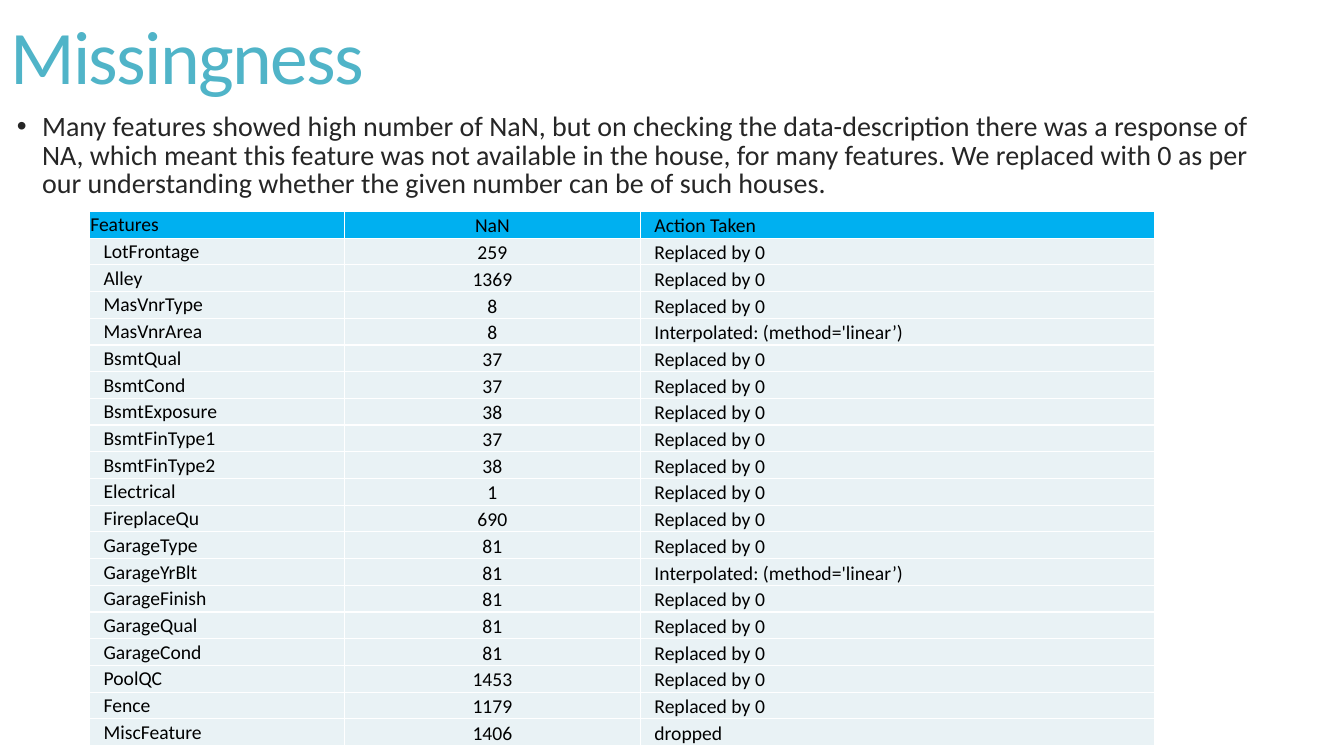
from dataclasses import dataclass

from lxml import etree
from pptx import Presentation
from pptx.dml.color import RGBColor
from pptx.enum.text import MSO_ANCHOR, MSO_AUTO_SIZE, PP_ALIGN
from pptx.oxml.ns import qn
from pptx.util import Pt

LEFT, CENTER = PP_ALIGN.LEFT, PP_ALIGN.CENTER
TOP, MIDDLE, BOTTOM = MSO_ANCHOR.TOP, MSO_ANCHOR.MIDDLE, MSO_ANCHOR.BOTTOM
NO_FIT = MSO_AUTO_SIZE.NONE


@dataclass(frozen=True)
class Theme:
    """Colours, font and type sizes."""
    font: str = "Calibri"
    title: str = "50B4C8"
    body: str = "262626"
    ink: str = "000000"
    head: str = "00B0F0"
    row: str = "E9F2F5"
    rule: str = "FFFFFF"
    title_size: int = 54
    body_size: int = 20
    cell_size: int = 14


def write(frame, words, *, font, size, color, align=LEFT, anchor=TOP,
          line=None, before=None, track=None, indent=0, hang=0, bullet=None):
    """Put one formatted paragraph into a text frame."""
    frame.word_wrap = True
    frame.vertical_anchor = anchor
    para = frame.paragraphs[0]
    para.alignment = align
    if line:
        para.line_spacing = line
    if before is not None:
        para.space_before = Pt(before)
    props = para._p.get_or_add_pPr()
    props.set("marL", str(Pt(indent)))
    props.set("indent", str(Pt(hang)))
    if bullet:
        etree.SubElement(props, qn("a:buFont"), typeface="Arial")
        etree.SubElement(props, qn("a:buChar"), char=bullet)
    run = para.add_run()
    run.text = words
    run.font.name = font
    run.font.size = Pt(size)
    run.font.color.rgb = RGBColor.from_string(color)
    if track:
        run.font._element.set("spc", str(round(track * 100)))


def edge(cell, color, width):
    """Draw a line on all four sides of a table cell."""
    props = cell._tc.get_or_add_tcPr()
    for side in ("lnL", "lnR", "lnT", "lnB"):
        line = etree.SubElement(props, qn(f"a:{side}"), w=str(Pt(width)))
        fill = etree.SubElement(line, qn("a:solidFill"))
        etree.SubElement(fill, qn("a:srgbClr"), val=color)


class Page:
    """Holds the theme and the current slide."""

    def __init__(self, slide, theme):
        """Keep the slide and its theme."""
        self.slide, self.theme = slide, theme

    def title(self, words, left, top, width, height):
        """Place and format the title."""
        look, shape = self.theme, self.slide.shapes.title
        shape.left, shape.top = Pt(left), Pt(top)
        shape.width, shape.height = Pt(width), Pt(height)
        shape.text_frame.auto_size = NO_FIT
        write(shape.text_frame, words, font=look.font, size=look.title_size,
              color=look.title, anchor=MIDDLE, line=0.85, track=-1.2)

    def point(self, words, left, top, width, height):
        """Add a bulleted text box."""
        look = self.theme
        box = self.slide.shapes.add_textbox(
            Pt(left), Pt(top), Pt(width), Pt(height))
        write(box.text_frame, words, font=look.font, size=look.body_size,
              color=look.body, line=0.85, before=13, indent=18, hang=-18,
              bullet="•")

    def cell(self, cell, words, row, col):
        """Fill, edge and write one table cell."""
        look = self.theme
        cell.margin_left = cell.margin_top = cell.margin_right = Pt(0.5)
        cell.margin_bottom = Pt(0)
        edge(cell, look.rule, 1)
        cell.fill.solid()
        cell.fill.fore_color.rgb = RGBColor.from_string(
            look.row if row else look.head)
        flush = col == 1 or (row, col) == (0, 0)
        write(cell.text_frame, words, font=look.font, size=look.cell_size,
              color=look.ink, align=CENTER if col == 1 else LEFT,
              indent=0 if flush else 9.5)
        cell.vertical_anchor = BOTTOM if col else MIDDLE

    def table(self, rows, left, top, widths, step):
        """Add a table with equal row heights."""
        grid = self.slide.shapes.add_table(
            len(rows), len(widths), Pt(left), Pt(top),
            Pt(sum(widths)), Pt(step * len(rows))).table
        for col, width in zip(grid.columns, widths):
            col.width = Pt(width)
        for r, row in enumerate(rows):
            grid.rows[r].height = Pt(step)
            for c, words in enumerate(row):
                self.cell(grid.cell(r, c), words, r, c)


COUNTS = {
    "LotFrontage": 259, "Alley": 1369, "MasVnrType": 8, "MasVnrArea": 8,
    "BsmtQual": 37, "BsmtCond": 37, "BsmtExposure": 38, "BsmtFinType1": 37,
    "BsmtFinType2": 38, "Electrical": 1, "FireplaceQu": 690,
    "GarageType": 81, "GarageYrBlt": 81, "GarageFinish": 81,
    "GarageQual": 81, "GarageCond": 81, "PoolQC": 1453, "Fence": 1179,
    "MiscFeature": 1406,
}
LINEAR = "Interpolated: (method='linear’)"
ACTIONS = {"MasVnrArea": LINEAR, "GarageYrBlt": LINEAR,
           "MiscFeature": "dropped"}
NOTE = ("Many features showed high number of NaN, but on checking the "
        "data-description there was a response of NA, which meant this "
        "feature was not available in the house, for many features. We "
        "replaced with 0 as per our understanding whether the given number "
        "can be of such houses.")


def main():
    """Build and save the slide."""
    deck = Presentation()
    deck.slide_width, deck.slide_height = Pt(960), Pt(540)
    page = Page(deck.slides.add_slide(deck.slide_layouts[5]), Theme())
    page.title("Missingness", 0, 7.2, 789, 73.5)
    page.point(NOTE, 5, 77.8, 918, 69)
    rows = [("Features", "NaN", "Action Taken")]
    rows += [(name, str(count), ACTIONS.get(name, "Replaced by 0"))
             for name, count in COUNTS.items()]
    page.table(rows, 64, 151, (182, 211.5, 367), 19.08)
    deck.save("out.pptx")


main()
